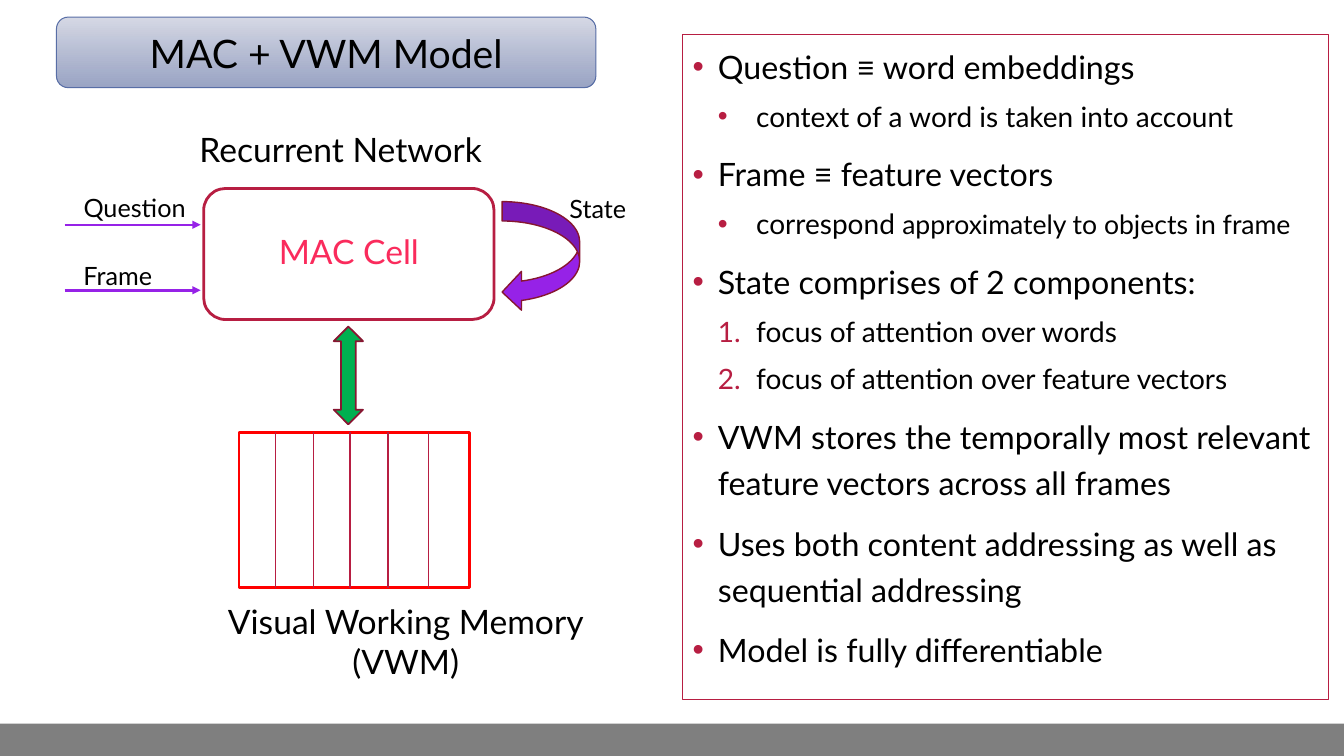
import pptx
import pptx.dml.color
import pptx.enum.shapes
import pptx.enum.text
import pptx.oxml
import pptx.oxml.ns
import pptx.util
from lxml import etree

Inches = pptx.util.Inches
Pt = pptx.util.Pt
RGBColor = pptx.dml.color.RGBColor
Shape = pptx.enum.shapes.MSO_SHAPE
Align = pptx.enum.text.PP_ALIGN
Anchor = pptx.enum.text.MSO_ANCHOR
AutoSize = pptx.enum.text.MSO_AUTO_SIZE
qn = pptx.oxml.ns.qn

FONT = "Lato"
BLACK = RGBColor(0x00, 0x00, 0x00)
GRAY = RGBColor(0x7F, 0x7F, 0x7F)
CRIMSON = RGBColor(0xB7, 0x1E, 0x42)
DARK_RED = RGBColor(0x87, 0x16, 0x31)
RED = RGBColor(0xFF, 0x00, 0x00)
PINK = RGBColor(0xFA, 0x2B, 0x5C)
PURPLE = RGBColor(0x96, 0x22, 0xE7)
GREEN = RGBColor(0x00, 0xB0, 0x50)
PANEL_TOP = RGBColor(0xD6, 0xD9, 0xE5)
PANEL_BOTTOM = RGBColor(0x92, 0x9D, 0xC0)
PANEL_EDGE = RGBColor(0x58, 0x6E, 0xA6)

TITLE_AREA = (0.56, 0.17, 5.35, 0.7)
MEMORY_AREA = (2.37, 4.29, 2.29, 1.54)
MEMORY_DIVIDERS = (2.73, 3.11, 3.47, 3.85, 4.25)
# Level, bullet character (None for a number), runs of text and size
POINTS = [
    (0, "•", [("Question ≡ word embeddings", 23)]),
    (1, "•", [("context of a word is taken into account", 20)]),
    (0, "•", [("Frame ≡ feature vectors", 23)]),
    (1, "•", [("correspond ", 20), ("approximately to objects in frame", 19)]),
    (0, "•", [("State comprises of 2 components:", 23)]),
    (1, None, [("focus of attention over words", 20)]),
    (1, None, [("focus of attention over feature vectors", 20)]),
    (0, "•", [("VWM stores the temporally most relevant "
               "feature vectors across all frames", 23)]),
    (0, "•", [("Uses both content addressing as well as "
               "sequential addressing", 23)]),
    (0, "•", [("Model is fully differentiable", 23)]),
]


def place(shape, area):
    shape.left, shape.top, shape.width, shape.height = map(Inches, area)


def add_run(para, text, size, color=BLACK):
    span = para.add_run()
    span.text = text
    span.font.name = FONT
    span.font.size = Pt(size)
    span.font.color.rgb = color


def add_box(shapes, kind, area, fill=None, edge=None, width=1):
    box = shapes.add_shape(kind, *map(Inches, area))
    box.shadow.inherit = False
    if fill is None:
        box.fill.background()
    else:
        box.fill.solid()
        box.fill.fore_color.rgb = fill
    if edge is None:
        box.line.fill.background()
    else:
        box.line.color.rgb = edge
        box.line.width = Pt(width)
    return box


def add_label(page, area, lines, size, align=Align.LEFT):
    frame = page.shapes.add_textbox(*map(Inches, area)).text_frame
    frame.word_wrap = False
    frame.auto_size = AutoSize.SHAPE_TO_FIT_TEXT
    for index, line in enumerate(lines):
        para = frame.add_paragraph() if index else frame.paragraphs[0]
        para.alignment = align
        add_run(para, line, size)


def add_line(shapes, start, end, color, width, arrow=False):
    line = shapes.add_connector(pptx.enum.shapes.MSO_CONNECTOR.STRAIGHT,
                                *map(Inches, start + end))
    line.line.color.rgb = color
    line.line.width = Pt(width)
    properties = line.element.spPr
    if arrow:
        etree.SubElement(properties.find(qn("a:ln")), qn("a:tailEnd"), type="triangle")
    etree.SubElement(properties, qn("a:effectLst"))


def add_title(page):
    """Set the title on a rounded gradient panel."""
    panel = add_box(page.shapes, Shape.ROUNDED_RECTANGLE, TITLE_AREA,
                    edge=PANEL_EDGE, width=0.75)
    panel.fill.gradient()
    panel.fill.gradient_angle = 270
    stops = panel.fill.gradient_stops
    for stop, position, color in zip(stops, (0, 1), (PANEL_TOP, PANEL_BOTTOM)):
        stop.position = position
        stop.color.rgb = color
    last_color = panel.element.findall(".//" + qn("a:gs"))[-1][0]
    etree.SubElement(last_color, qn("a:alpha"), val="92000")

    title = page.shapes.title
    place(title, TITLE_AREA)
    title.element.addprevious(panel.element)
    title.text_frame.vertical_anchor = Anchor.MIDDLE
    title.text_frame.auto_size = AutoSize.NONE
    para = title.text_frame.paragraphs[0]
    para.alignment = Align.CENTER
    add_run(para, "MAC + VWM Model", 28)


def set_bullet(para, level, mark):
    properties = para._p.get_or_add_pPr()
    margin, indent = ((0.25, -0.25), (0.63, -0.38))[level]
    properties.set("marL", str(Inches(margin)))
    properties.set("indent", str(Inches(indent)))
    color = etree.SubElement(properties, qn("a:buClr"))
    etree.SubElement(color, qn("a:srgbClr"), val=str(CRIMSON))
    if mark is None:
        etree.SubElement(properties, qn("a:buFont"), typeface="+mj-lt")
        etree.SubElement(properties, qn("a:buAutoNum"), type="arabicPeriod")
    else:
        etree.SubElement(properties, qn("a:buFont"), typeface="Arial")
        etree.SubElement(properties, qn("a:buChar"), char=mark)


def add_points(page):
    body = page.placeholders[1]
    place(body, (6.77, 0.34, 6.41, 6.6))
    body.line.color.rgb = CRIMSON
    body.line.width = Pt(0.75)
    frame = body.text_frame
    frame.auto_size = AutoSize.NONE
    for index, (level, mark, spans) in enumerate(POINTS):
        para = frame.add_paragraph() if index else frame.paragraphs[0]
        para.level = level
        para.line_spacing = 1.2
        para.space_before = Pt(5 if level else 10)
        set_bullet(para, level, mark)
        for text, size in spans:
            add_run(para, text, size)


def add_cell(page):
    cell = add_box(page.shapes, Shape.ROUNDED_RECTANGLE, (2.02, 1.87, 2.88, 1.3),
                   edge=CRIMSON, width=2)
    cell.text_frame.vertical_anchor = Anchor.MIDDLE
    para = cell.text_frame.paragraphs[0]
    para.alignment = Align.CENTER
    para.line_spacing = 0.9
    add_run(para, "MAC Cell", 24, PINK)


def add_memory(page):
    memory = page.shapes.add_group_shape().shapes
    add_box(memory, Shape.RECTANGLE, MEMORY_AREA, edge=RED, width=2)
    top = MEMORY_AREA[1]
    bottom = top + MEMORY_AREA[3]
    for x in MEMORY_DIVIDERS:
        add_line(memory, (x, top), (x, bottom), CRIMSON, 1)


def main():
    deck = pptx.Presentation()
    deck.slide_width, deck.slide_height = Inches(13.33), Inches(7.5)
    page = deck.slides.add_slide(deck.slide_layouts[1])
    add_box(page.shapes, Shape.RECTANGLE, (0, 7.18, 13.33, 0.32), fill=GRAY)
    add_cell(page)
    add_memory(page)
    add_label(page, (1.88, 1.23, 3.07, 0.5), ["Recurrent Network"], 24)
    add_label(page, (2.11, 5.91, 3.83, 0.91),
              ["Visual Working Memory", "(VWM)"], 24, Align.CENTER)
    add_box(page.shapes, Shape.UP_DOWN_ARROW, (3.31, 3.24, 0.29, 0.97),
            GREEN, DARK_RED, 1.25)
    for text, y, label_top, width in (("Question", 2.23, 1.86, 1.22),
                                      ("Frame", 2.88, 2.53, 0.93)):
        add_line(page.shapes, (0.64, y), (1.99, y), PURPLE, 1.75, arrow=True)
        add_label(page, (0.73, label_top, width, 0.4), [text], 18)
    add_box(page.shapes, Shape.CURVED_LEFT_ARROW, (4.98, 2, 0.77, 1.09),
            PURPLE, DARK_RED)
    add_label(page, (5.55, 1.87, 0.8, 0.4), ["State"], 18)
    add_points(page)
    add_title(page)
    deck.save("out.pptx")


if __name__ == "__main__":
    main()
